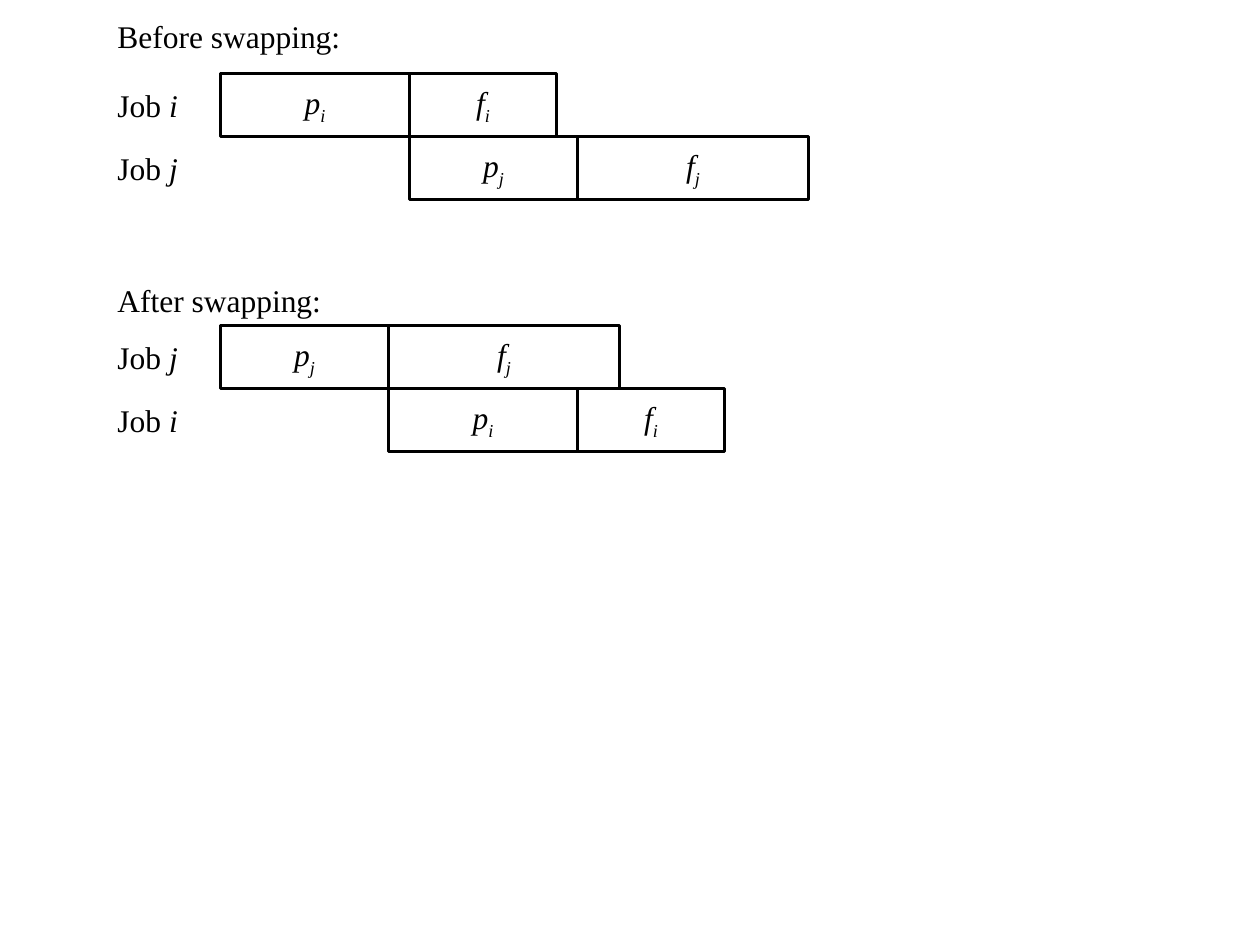
from pptx import Presentation
from pptx.dml.color import RGBColor
from pptx.enum.shapes import MSO_SHAPE
from pptx.enum.text import MSO_ANCHOR, MSO_AUTO_SIZE, PP_ALIGN
from pptx.util import Pt

FONT = "Times New Roman"
INK = "000000"
DURATIONS = {"i": {"p": 108, "f": 84}, "j": {"p": 96, "f": 132}}
SCHEDULES = [
    {"caption": "Before swapping:", "caption_top": 6, "top": 42, "jobs": ["i", "j"]},
    {"caption": "After swapping:", "caption_top": 157, "top": 186, "jobs": ["j", "i"]},
]
LABEL_LEFT, LABEL_WIDTH, LABEL_HEIGHT = 60, 49.7, 29
CAPTION_WIDTH = 156
CHART_LEFT, ROW_HEIGHT = 126, 36


def color(value):
    return RGBColor.from_string(value)


def add_run(paragraph, text, italic=False, subscript=False):
    run = paragraph.add_run()
    run.text = text
    run.font.name = FONT
    run.font.size = Pt(18)
    run.font.italic = italic
    run.font.color.rgb = color(INK)
    if subscript:
        run.font._element.set("baseline", "-25000")


def add_text(slide, top, width, wrap, text, variable=None):
    box = slide.shapes.add_textbox(Pt(LABEL_LEFT), Pt(top), Pt(width), Pt(LABEL_HEIGHT))
    frame = box.text_frame
    frame.word_wrap = wrap
    frame.auto_size = MSO_AUTO_SIZE.SHAPE_TO_FIT_TEXT
    paragraph = frame.paragraphs[0]
    add_run(paragraph, text)
    if variable:
        add_run(paragraph, variable, italic=True)


def add_phase(group, left, top, width, phase, job):
    box = group.shapes.add_shape(
        MSO_SHAPE.RECTANGLE, Pt(left), Pt(top), Pt(width), Pt(ROW_HEIGHT))
    box.shadow.inherit = False
    box.fill.background()
    box.line.color.rgb = color(INK)
    box.line.width = Pt(2)
    box.text_frame.vertical_anchor = MSO_ANCHOR.MIDDLE
    paragraph = box.text_frame.paragraphs[0]
    paragraph.alignment = PP_ALIGN.CENTER
    add_run(paragraph, phase, italic=True)
    add_run(paragraph, job, italic=True, subscript=True)


def add_schedule(slide, schedule):
    add_text(slide, schedule["caption_top"], CAPTION_WIDTH, True, schedule["caption"])
    start = CHART_LEFT
    for row, job in enumerate(schedule["jobs"]):
        top = schedule["top"] + row * ROW_HEIGHT
        label_top = top + (ROW_HEIGHT - LABEL_HEIGHT) / 2
        add_text(slide, label_top, LABEL_WIDTH, False, "Job ", job)
        group = slide.shapes.add_group_shape()
        left = start
        for phase, width in DURATIONS[job].items():
            add_phase(group, left, top, width, phase, job)
            left += width
        start += DURATIONS[job]["p"]


def main():
    presentation = Presentation()
    presentation.slide_width = Pt(720)
    presentation.slide_height = Pt(540)
    slide = presentation.slides.add_slide(presentation.slide_layouts.get_by_name("Blank"))
    for schedule in SCHEDULES:
        add_schedule(slide, schedule)
    presentation.save("out.pptx")


if __name__ == "__main__":
    main()
